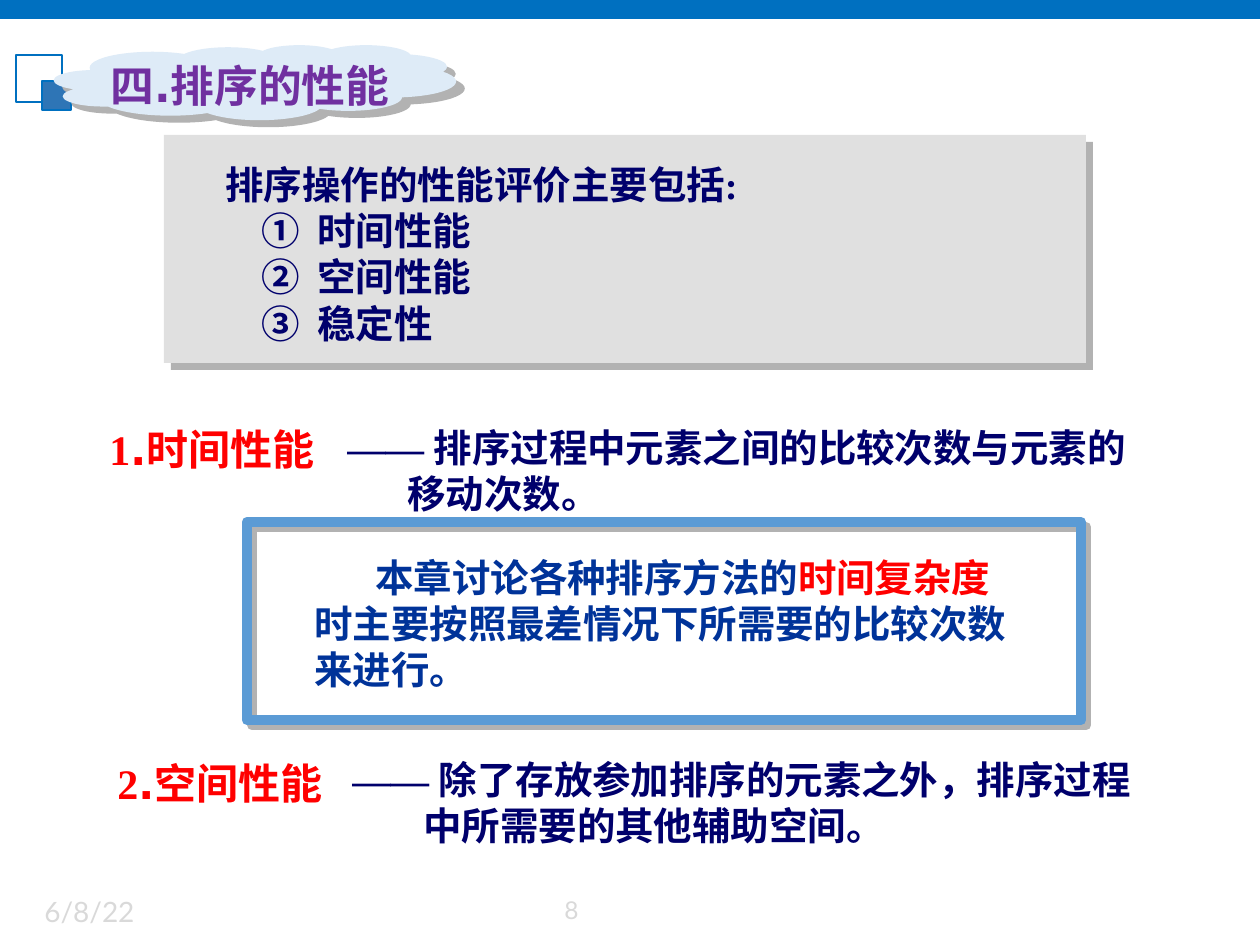
from lxml.etree import SubElement
from pptx import Presentation
from pptx.dml.color import RGBColor
from pptx.enum.shapes import MSO_SHAPE
from pptx.enum.text import MSO_ANCHOR
from pptx.oxml.ns import qn
from pptx.util import Emu, Pt

PX = 914400 // 126
CJK, SERIF, SANS, LATO = "Noto Sans CJK SC", "Times New Roman", "DejaVu Sans", "Lato"
THEME = {
    "bar": "0070C0", "square": "2E75B6", "cloud": "DEEBF7", "title": "7030A0",
    "panel": "E0E0E0", "frame": "5B9BD5", "shadow": "B2B2B2",
    "body": "00006C", "note": "003399", "accent": "FF0000", "footer": "D9D9D9",
    "title_size": 25, "head_size": 24, "body_size": 22, "date_size": 16, "number_size": 14,
}

prs = Presentation()
prs.slide_width, prs.slide_height = Emu(1260 * PX), Emu(945 * PX)
s = prs.slides.add_slide(prs.slide_layouts[6])


def add_shape(kind, box, fill=None, line=None, width=1.5, shadow=None):
    sp = s.shapes.add_shape(kind, *(Emu(v * PX) for v in box))
    sp.shadow.inherit = False
    if fill:
        sp.fill.solid()
        sp.fill.fore_color.rgb = RGBColor.from_string(THEME[fill])
    else:
        sp.fill.background()
    if line:
        sp.line.color.rgb = RGBColor.from_string(THEME[line])
        sp.line.width = Pt(width)
    else:
        sp.line.fill.background()
    if shadow:
        dist, angle = shadow
        effects = sp._element.spPr.find(qn("a:effectLst"))
        outer = SubElement(effects, qn("a:outerShdw"), dist=str(Pt(dist)),
                           dir=str(angle * 60000), algn="ctr", rotWithShape="0")
        SubElement(outer, qn("a:srgbClr"), val=THEME["shadow"])


def add_text(box, size, paragraphs, bold=True, top=11):
    tf = s.shapes.add_textbox(*(Emu(v * PX) for v in box)).text_frame
    tf.word_wrap = True
    if bold:
        tf.margin_top = Emu(top * PX)
    else:
        tf.vertical_anchor = MSO_ANCHOR.MIDDLE
    for i, (margin, indent, runs) in enumerate(paragraphs):
        p = tf.paragraphs[0] if i == 0 else tf.add_paragraph()
        pPr = p._p.get_or_add_pPr()
        pPr.set("marL", str(margin * PX))
        pPr.set("indent", str(indent * PX))
        if bold:
            p.line_spacing = Pt(THEME[size] * 1.2)
        for text, font, color in runs:
            r = p.add_run()
            r.text = text
            r.font.name = font
            r.font.size = Pt(THEME[size])
            r.font.bold = bold
            r.font.color.rgb = RGBColor.from_string(THEME[color])
            east = SERIF if text.startswith("—") else CJK
            SubElement(r._r.get_or_add_rPr(), qn("a:ea"), typeface=east)


add_shape(MSO_SHAPE.RECTANGLE, (0, 0, 1260, 19), fill="bar")
add_shape(MSO_SHAPE.RECTANGLE, (16, 55, 46, 47), line="bar")
add_shape(MSO_SHAPE.RECTANGLE, (42, 81, 29, 29), fill="square", line="bar")
add_text((32, 886, 232, 50), "date_size", [(0, 0, [("6/8/22", LATO, "footer")])], bold=False)
add_text((552, 886, 78, 48), "number_size", [(0, 0, [("8", LATO, "footer")])], bold=False)

add_shape(MSO_SHAPE.CLOUD, (54, 45, 402, 75), fill="cloud", shadow=(6.4, 39))
add_text((98, 48, 415, 66), "title_size", [(0, 0, [("四.排序的性能", SANS, "title")])])

add_shape(MSO_SHAPE.RECTANGLE, (164, 135, 922, 228), fill="panel", shadow=(5.7, 45))
criteria = [(0, 0, [("排序操作的性能评价主要包括:", SERIF, "body")])]
for mark, name in zip("①②③", ("时间性能", "空间性能", "稳定性")):
    criteria.append((92, -56, [(mark + "\t", CJK, "body"), (name, SERIF, "body")]))
add_text((213, 150, 694, 198), "body_size", criteria)

sections = [
    ("1", ".时间性能", (97, 413), (335, 413), 60,
     "排序过程中元素之间的比较次数与元素的", "移动次数。"),
    ("2", ".空间性能", (105, 747), (340, 745), 71,
     "除了存放参加排序的元素之外，排序过程", "中所需要的其他辅助空间。"),
]
for number, name, head_at, body_at, indent, first, second in sections:
    add_text((*head_at, 287, 63), "head_size",
             [(0, 0, [(number, SERIF, "accent"), (name, SANS, "accent")])])
    add_text((*body_at, 823, 105), "body_size", [
        (0, 0, [("—— ", SERIF, "body"), (first, CJK, "body")]),
        (0, indent, [(second, CJK, "body")]),
    ])

add_text((302, 543, 833, 152), "body_size", [
    (0, 61, [("本章讨论各种排序方法的", CJK, "note"), ("时间复杂度", SANS, "accent")]),
    (0, 0, [("时主要按照最差情况下所需要的比较次数", CJK, "note")]),
    (0, 0, [("来进行。", CJK, "note")]),
])
add_shape(MSO_SHAPE.RECTANGLE, (247, 522, 834, 198), line="frame", width=6, shadow=(4.2, 45))

prs.save("out.pptx")
